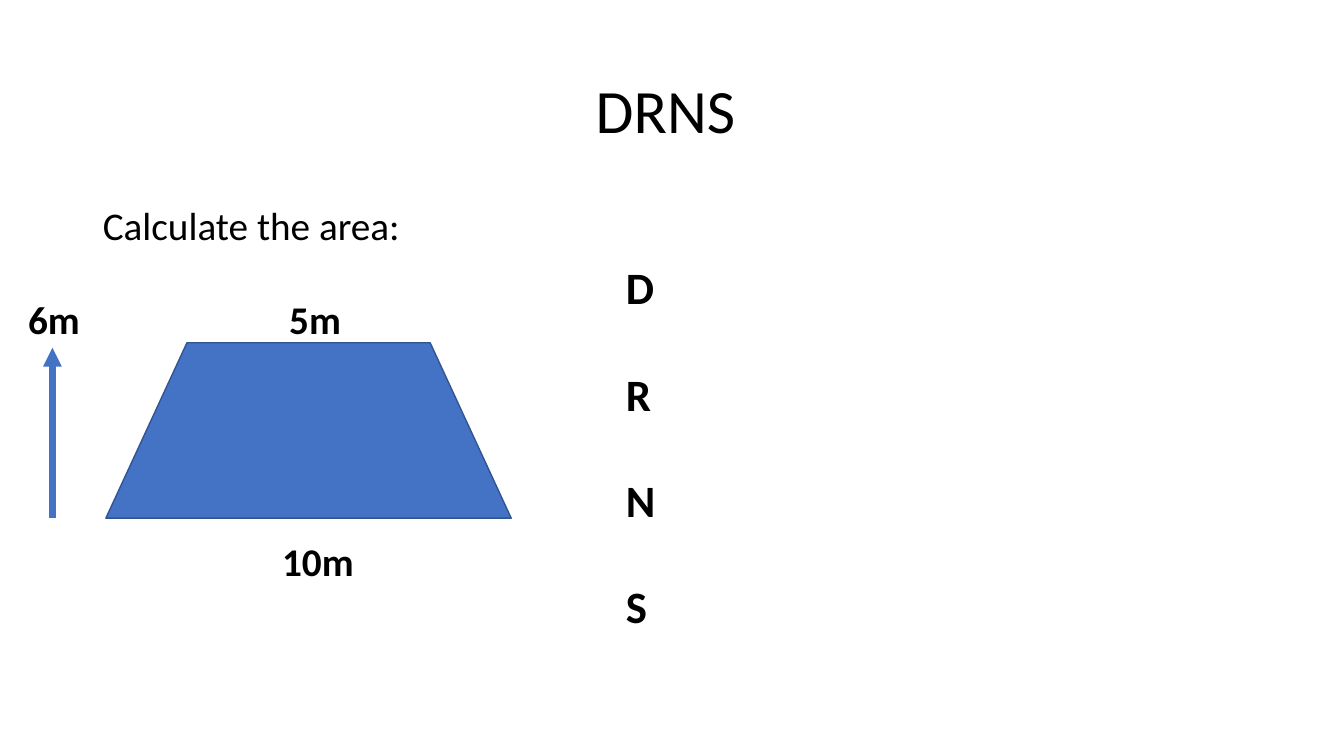
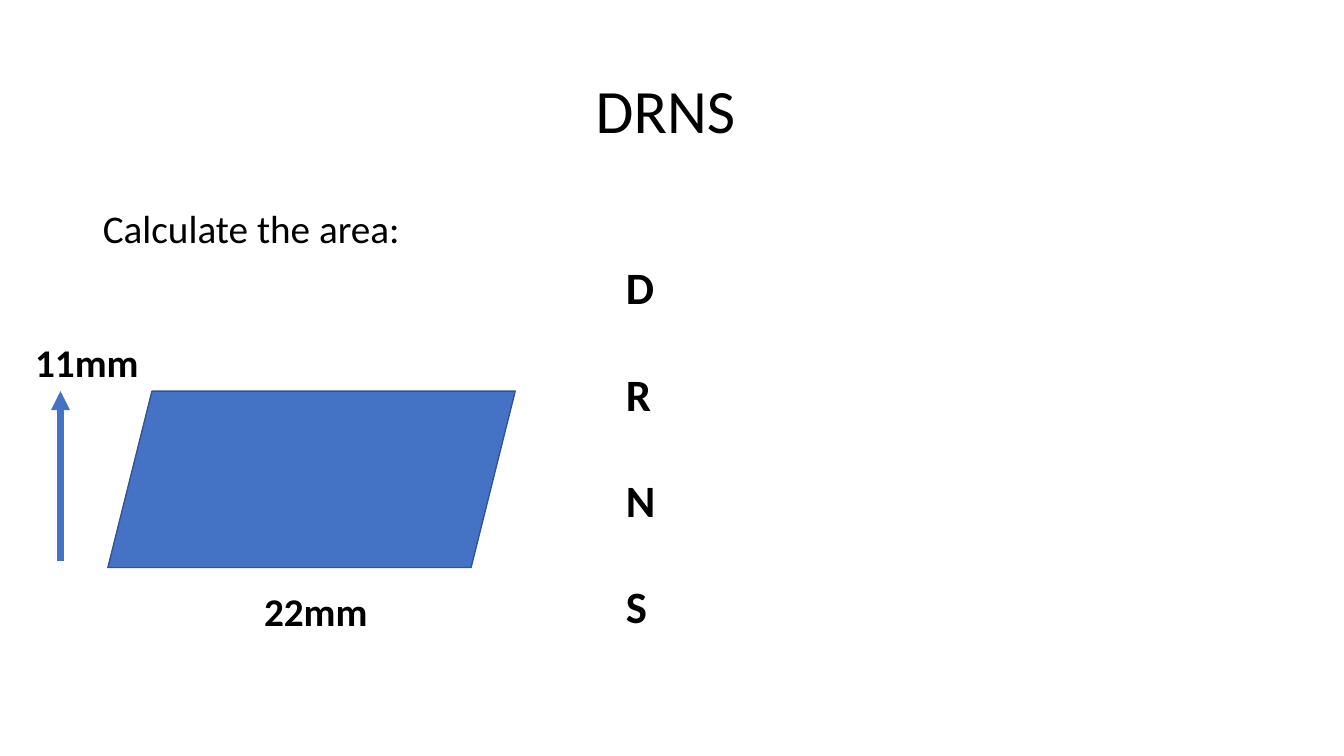
from dataclasses import dataclass

from lxml.etree import SubElement
from pptx import Presentation
from pptx.dml.color import RGBColor
from pptx.enum.shapes import MSO_CONNECTOR, MSO_SHAPE
from pptx.enum.text import MSO_ANCHOR, MSO_AUTO_SIZE, PP_ALIGN
from pptx.oxml.ns import qn
from pptx.util import Inches, Pt


@dataclass(frozen=True)
class Theme:
    font: str = "Calibri"
    text: RGBColor = RGBColor(0, 0, 0)
    fill: RGBColor = RGBColor(0x44, 0x72, 0xC4)
    outline: RGBColor = RGBColor(0x32, 0x54, 0x91)
    title: int = 44
    body: int = 28
    steps: int = 32
    step_gap: float = 37.5
    outline_width: int = 1
    arrow_width: float = 4.5


@dataclass(frozen=True)
class Label:
    """A measurement, placed from the left and top of its figure."""
    text: str
    dx: float
    dy: float


@dataclass(frozen=True)
class Problem:
    kind: MSO_SHAPE
    box: tuple
    labels: tuple
    arrow: tuple  # dx, top dy from the figure's corner
    body_top: float
    rotation: int = 0


THEME = Theme()
SLIDE_W, SLIDE_H = 13.33, 7.5
MARGIN = 0.92
CONTENT_W = 11.5
STEPS = "DRNS"
STEPS_BOX = (6.11, 2.53, 2.51, 3.87)
LABEL_SIZE = (1.48, 0.57)
ARROW_LENGTH = 1.69

PROBLEMS = (
    Problem(
        MSO_SHAPE.FLOWCHART_MANUAL_OPERATION, (1.05, 3.4, 4.02, 1.74),
        (Label("10m", 1.65, 1.88), Label("5m", 1.72, -0.52), Label("6m", -0.87, -0.52)),
        arrow=(-0.53, 0.05), body_top=2, rotation=180,
    ),
    Problem(
        MSO_SHAPE.PARALLELOGRAM, (1.07, 3.88, 4.04, 1.75),
        (Label("22mm", 1.45, 1.9), Label("11mm", -0.82, -0.57)),
        arrow=(-0.47, 0), body_top=2.03,
    ),
)


def inches(*lengths):
    return [Inches(n) for n in lengths]


def place(sp, box):
    sp.left, sp.top, sp.width, sp.height = inches(*box)


def style(p, size, bold=False):
    for r in p.runs:
        r.font.name = THEME.font
        r.font.size = Pt(size)
        r.font.bold = bold
        r.font.color.rgb = THEME.text


def add_heading(s, body_top):
    title, body = s.shapes.title, s.placeholders[1]
    place(title, (MARGIN, 0.4, CONTENT_W, 1.45))
    title.text_frame.text = "DRNS "
    title.text_frame.vertical_anchor = MSO_ANCHOR.MIDDLE
    p = title.text_frame.paragraphs[0]
    p.alignment = PP_ALIGN.CENTER
    p.line_spacing = 0.9
    style(p, THEME.title)

    place(body, (MARGIN, body_top, CONTENT_W, 4.76))
    body.text_frame.text = "Calculate the area:"
    p = body.text_frame.paragraphs[0]
    pPr = p._p.get_or_add_pPr()
    pPr.set("marL", "0")
    pPr.set("indent", "0")
    SubElement(pPr, qn("a:buNone"))
    p.line_spacing = 0.9
    p.space_before = Pt(0)
    style(p, THEME.body)


def add_text(s, box, lines, size, gap=0):
    tf = s.shapes.add_textbox(*inches(*box)).text_frame
    tf.word_wrap = True
    tf.auto_size = MSO_AUTO_SIZE.SHAPE_TO_FIT_TEXT
    tf.text = "\n".join(lines)
    for i, p in enumerate(tf.paragraphs):
        p.space_before = Pt(gap if i else 0)
        style(p, size, bold=True)


def add_height_arrow(s, x, top):
    arrow = s.shapes.add_connector(
        MSO_CONNECTOR.STRAIGHT, *inches(x, top + ARROW_LENGTH, x, top))
    arrow.line.color.rgb = THEME.fill
    arrow.line.width = Pt(THEME.arrow_width)
    SubElement(arrow.line._get_or_add_ln(), qn("a:tailEnd"), type="triangle")
    SubElement(arrow._element.spPr, qn("a:effectLst"))


def add_figure(s, problem):
    left, top = problem.box[:2]
    sp = s.shapes.add_shape(problem.kind, *inches(*problem.box))
    sp.rotation = problem.rotation
    sp.shadow.inherit = False
    sp.fill.solid()
    sp.fill.fore_color.rgb = THEME.fill
    sp.line.color.rgb = THEME.outline
    sp.line.width = Pt(THEME.outline_width)
    for label in problem.labels:
        box = (left + label.dx, top + label.dy, *LABEL_SIZE)
        add_text(s, box, [label.text], THEME.body)
    dx, dy = problem.arrow
    add_height_arrow(s, left + dx, top + dy)


def add_problem_slide(prs, problem):
    s = prs.slides.add_slide(prs.slide_layouts[1])
    add_heading(s, problem.body_top)
    add_text(s, STEPS_BOX, STEPS, THEME.steps, THEME.step_gap)
    add_figure(s, problem)


def main():
    prs = Presentation()
    prs.slide_width, prs.slide_height = inches(SLIDE_W, SLIDE_H)
    for problem in PROBLEMS:
        add_problem_slide(prs, problem)
    prs.save("out.pptx")


if __name__ == "__main__":
    main()
